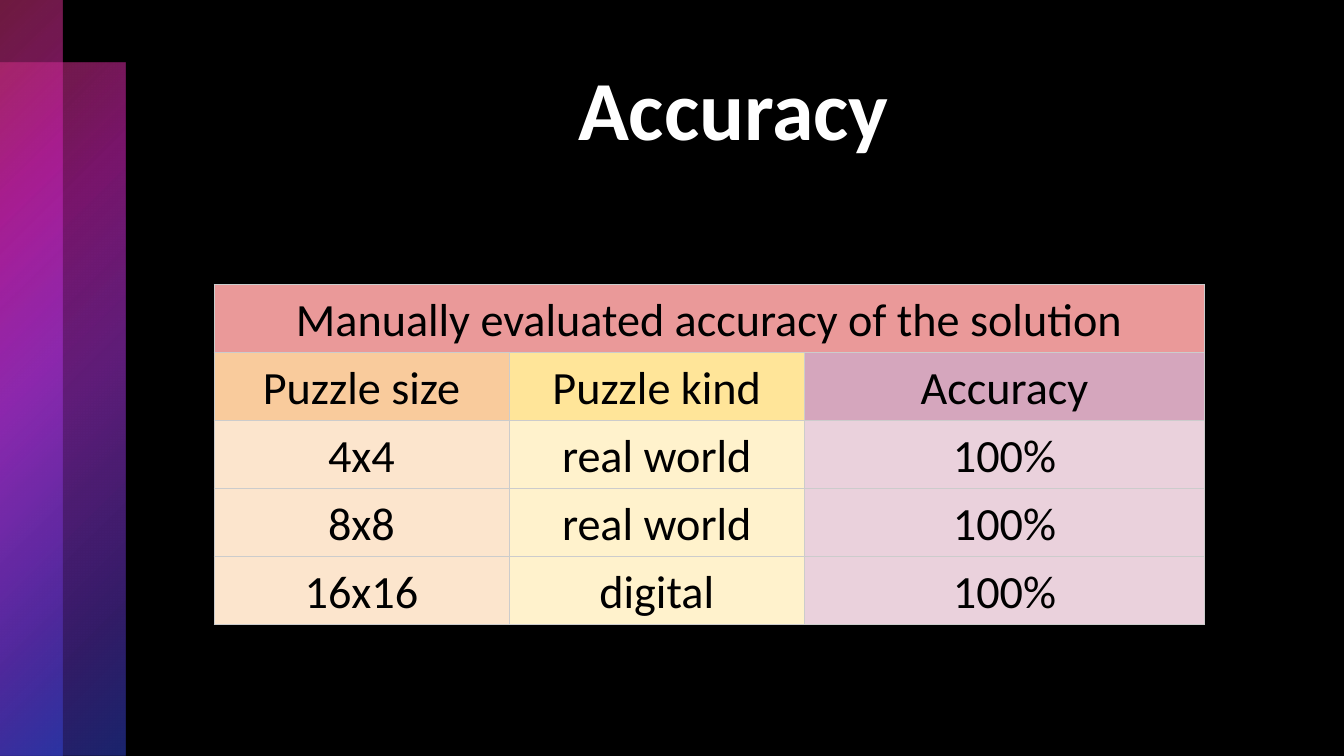
import pptx
import pptx.dml.color
import pptx.enum.shapes
import pptx.enum.text
import pptx.oxml
import pptx.util

Cm = pptx.util.Cm
Pt = pptx.util.Pt
MIDDLE = pptx.enum.text.MSO_ANCHOR.MIDDLE
BOTTOM = pptx.enum.text.MSO_ANCHOR.BOTTOM
CENTER = pptx.enum.text.PP_ALIGN.CENTER
SPACE = 'xmlns:a="http://schemas.openxmlformats.org/drawingml/2006/main"'

COLORS = {
    "ground": "000000", "title": "FFFFFF", "ink": "000000", "rule": "CCCCCC",
    "pink": "DB357E", "rose": "C923B2", "violet": "AD35DB",
    "indigo": "6637CE", "blue": "3547DB", "banner": "EA9999",
}
HEADS = ["F9CB9C", "FFE599", "D5A6BD"]
TINTS = ["FCE5CD", "FFF2CC", "EAD1DC"]
STOPS = [(0, "pink", 50), (25, "rose", 60), (50, "violet", 55),
         (81, "indigo", 50), (99, "blue", 50)]
TITLE = {"name": "Calibri", "size": Pt(60), "bold": True}
CELL = {"name": "Calibri", "size": Pt(33), "bold": False}
PADS = {"margin_left": Cm(0.1), "margin_right": Cm(0.1),
        "margin_top": Cm(0.08), "margin_bottom": Cm(0.08),
        "vertical_anchor": BOTTOM}
ROWS = [
    ["Manually evaluated accuracy of the solution", "", ""],
    ["Puzzle size", "Puzzle kind", "Accuracy"],
    ["4x4", "real world", "100%"],
    ["8x8", "real world", "100%"],
    ["16x16", "digital", "100%"],
]
SHARES = [2.93, 2.93, 3.97]


def paint(fill, code):
    """Fill with one solid colour."""
    fill.solid()
    fill.fore_color.rgb = pptx.dml.color.RGBColor.from_string(code)


def apply(target, values):
    """Set each named value on the target."""
    for name, value in values.items():
        setattr(target, name, value)


def write(frame, text, style, code):
    """Write one centred line in the given style."""
    line = frame.paragraphs[0]
    line.alignment = CENTER
    run = line.add_run()
    run.text = text
    apply(run.font, style)
    paint(run.font.fill, code)


def add_band(slide, left, top, width, height):
    """Draw a translucent band that shades from its top left corner."""
    kind = pptx.enum.shapes.MSO_SHAPE.RECTANGLE
    band = slide.shapes.add_shape(kind, left, top, width, height)
    band.shadow.inherit = False
    band.line.fill.background()
    stops = "".join(
        f'<a:gs pos="{spot * 1000}"><a:srgbClr val="{COLORS[name]}">'
        f'<a:alpha val="{alpha * 1000}"/></a:srgbClr></a:gs>'
        for spot, name, alpha in STOPS)
    shade = pptx.oxml.parse_xml(
        f'<a:gradFill {SPACE} rotWithShape="1"><a:gsLst>{stops}</a:gsLst>'
        '<a:path path="circle"><a:fillToRect r="100000" b="100000"/></a:path>'
        '<a:tileRect l="-100000" t="-100000"/></a:gradFill>')
    band.element.spPr.insert(2, shade)


def add_side(slide, left, top, width, height):
    """Overlap a wide low band and a narrow tall band."""
    half = width // 2
    add_band(slide, left, top + half, width, height - half)
    add_band(slide, left, top, half, height)


def add_title(slide, left, top, width, height):
    """Place the centred heading."""
    frame = slide.shapes.add_textbox(left, top, width, height).text_frame
    apply(frame, {"word_wrap": True, "vertical_anchor": MIDDLE})
    write(frame, "Accuracy", TITLE, COLORS["title"])


def edge(cell):
    """Rule all four sides of a cell."""
    props = cell._tc.get_or_add_tcPr()
    for index, side in enumerate("LRTB"):
        props.insert(index, pptx.oxml.parse_xml(
            f'<a:ln{side} {SPACE} w="{Pt(0.5)}"><a:solidFill>'
            f'<a:srgbClr val="{COLORS["rule"]}"/></a:solidFill></a:ln{side}>'))


def add_grid(slide, left, top, width, height):
    """Build the table with a merged banner and tinted columns."""
    frame = slide.shapes.add_table(
        len(ROWS), len(SHARES), left, top, width, height)
    table = frame.table
    apply(table, {"first_row": False, "horz_banding": False})
    for column, share in zip(table.columns, SHARES):
        column.width = int(width * share / sum(SHARES))
    fills = [[COLORS["banner"]] * 3, HEADS] + [TINTS] * 3
    for row, (texts, codes) in enumerate(zip(ROWS, fills)):
        for column, (text, code) in enumerate(zip(texts, codes)):
            cell = table.cell(row, column)
            apply(cell, PADS)
            paint(cell.fill, code)
            edge(cell)
            if text:
                write(cell.text_frame, text, CELL, COLORS["ink"])
    table.cell(0, 0).merge(table.cell(0, 2))


def main():
    """Build and save the slide."""
    deck = pptx.Presentation()
    apply(deck, {"slide_width": Cm(33.87), "slide_height": Cm(19.05)})
    slide = deck.slides.add_slide(deck.slide_layouts[6])
    paint(slide.background.fill, COLORS["ground"])
    add_side(slide, 0, 0, Cm(3.16), deck.slide_height)
    add_title(slide, Cm(5.05), Cm(1.12), Cm(26.87), Cm(3.15))
    add_grid(slide, Cm(5.39), Cm(7.16), Cm(24.97), Cm(8.56))
    deck.save("out.pptx")


if __name__ == "__main__":
    main()
